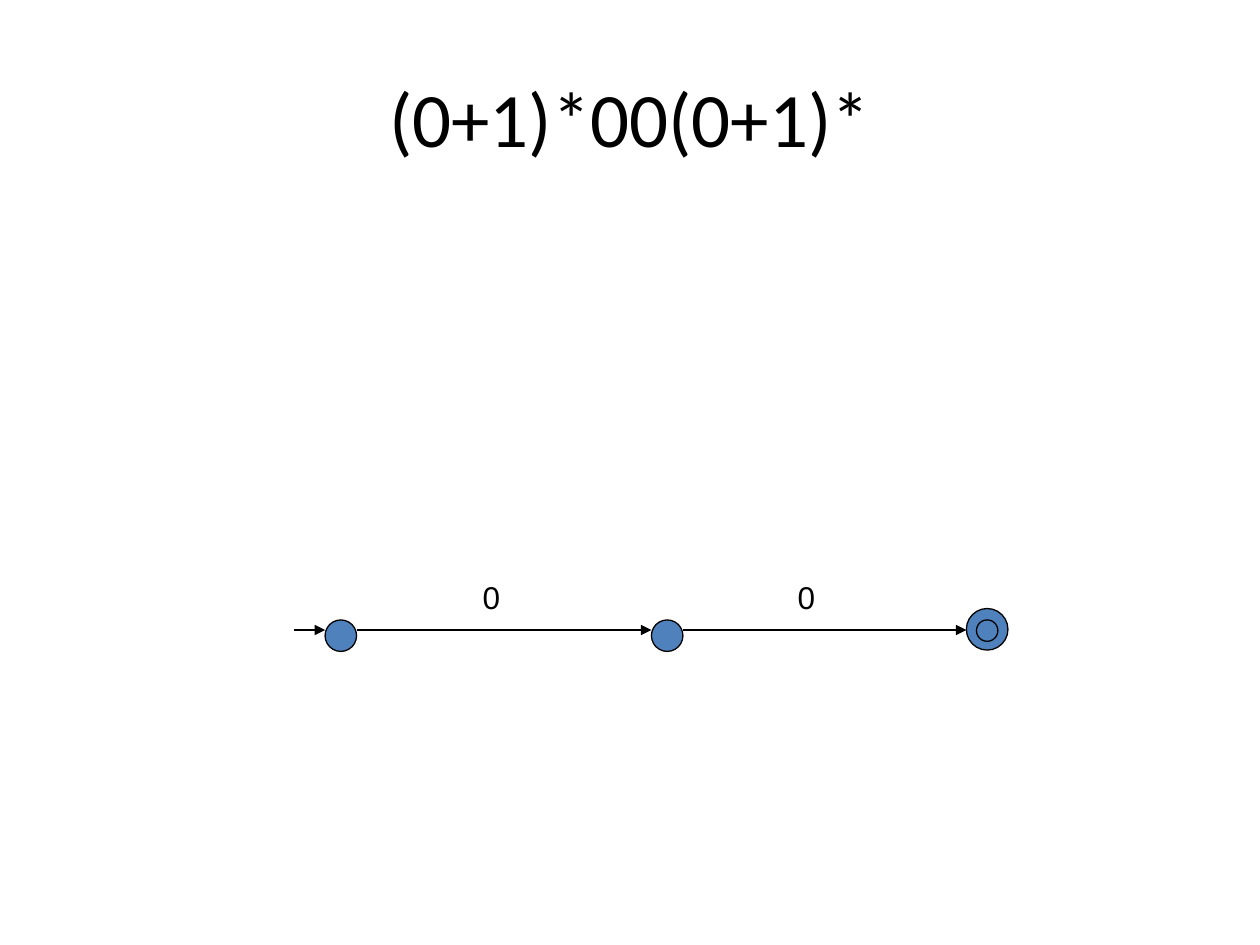
from dataclasses import dataclass

from lxml import etree
from pptx import Presentation, util as u
from pptx.dml.color import RGBColor
from pptx.enum import shapes, text
from pptx.oxml import ns


@dataclass(frozen=True)
class Theme:
    ink: RGBColor = RGBColor(0x00, 0x00, 0x00)
    state_fill: RGBColor = RGBColor(0x4F, 0x81, 0xBD)
    title_font: str = "Calibri"
    label_font: str = "Arial"
    title_size: int = 44
    label_size: int = 18
    line_width: float = 0.75


class AutomatonSlide:
    """Holds the style and the slide being drawn."""

    def __init__(self, page, theme):
        self.page = page
        self.theme = theme

    def style_text(self, frame, words, font, size):
        frame.text = words
        para = frame.paragraphs[0]
        para.alignment = text.PP_ALIGN.CENTER
        span = para.runs[0]
        span.font.name = font
        span.font.size = u.Pt(size)
        span.font.color.rgb = self.theme.ink

    def style_line(self, line):
        line.color.rgb = self.theme.ink
        line.width = u.Pt(self.theme.line_width)

    def title(self, words, left, top, width, height):
        box = self.page.shapes.title
        box.left, box.top = u.Inches(left), u.Inches(top)
        box.width, box.height = u.Inches(width), u.Inches(height)
        box.text_frame.vertical_anchor = text.MSO_ANCHOR.MIDDLE
        self.style_text(box.text_frame, words, self.theme.title_font, self.theme.title_size)

    def circle(self, left, top, size):
        circle = self.page.shapes.add_shape(
            shapes.MSO_SHAPE.OVAL,
            u.Inches(left), u.Inches(top), u.Inches(size), u.Inches(size))
        circle.shadow.inherit = False
        circle.fill.solid()
        circle.fill.fore_color.rgb = self.theme.state_fill
        self.style_line(circle.line)

    def arrow(self, start, end, y):
        arrow = self.page.shapes.add_connector(
            shapes.MSO_CONNECTOR.STRAIGHT,
            u.Inches(start), u.Inches(y), u.Inches(end), u.Inches(y))
        self.style_line(arrow.line)
        etree.SubElement(arrow.line._get_or_add_ln(), ns.qn("a:tailEnd"), type="triangle")
        etree.SubElement(arrow._element.spPr, ns.qn("a:effectLst"))

    def label(self, words, left, top, width=0.34, height=0.4):
        box = self.page.shapes.add_textbox(
            u.Inches(left), u.Inches(top), u.Inches(width), u.Inches(height))
        frame = box.text_frame
        frame.word_wrap = False
        frame.auto_size = text.MSO_AUTO_SIZE.SHAPE_TO_FIT_TEXT
        self.style_text(frame, words, self.theme.label_font, self.theme.label_size)


def main():
    deck = Presentation()
    deck.slide_width, deck.slide_height = u.Inches(10), u.Inches(7.5)
    page = deck.slides.add_slide(deck.slide_layouts.get_by_name("Title Only"))
    slide = AutomatonSlide(page, Theme())

    # Regular expression
    slide.title("(0+1)*00(0+1)*", 0.5, 0.3, 9, 1.25)

    # Start, middle and accepting states as (left, top, size)
    states = [(2.58, 4.92, 0.25), (5.17, 4.92, 0.25), (7.67, 4.83, 0.33)]
    for state in states:
        slide.circle(*state)
    slide.circle(7.75, 4.92, 0.17)

    # Each arrow runs from the previous state's right edge to the next state
    start = 2.33
    for left, _, size in states:
        slide.arrow(start, left, 5)
        start = left + size

    # Input symbols on the transitions
    for left in (3.73, 6.23):
        slide.label("0", left, 4.54)

    deck.save("out.pptx")


if __name__ == "__main__":
    main()
